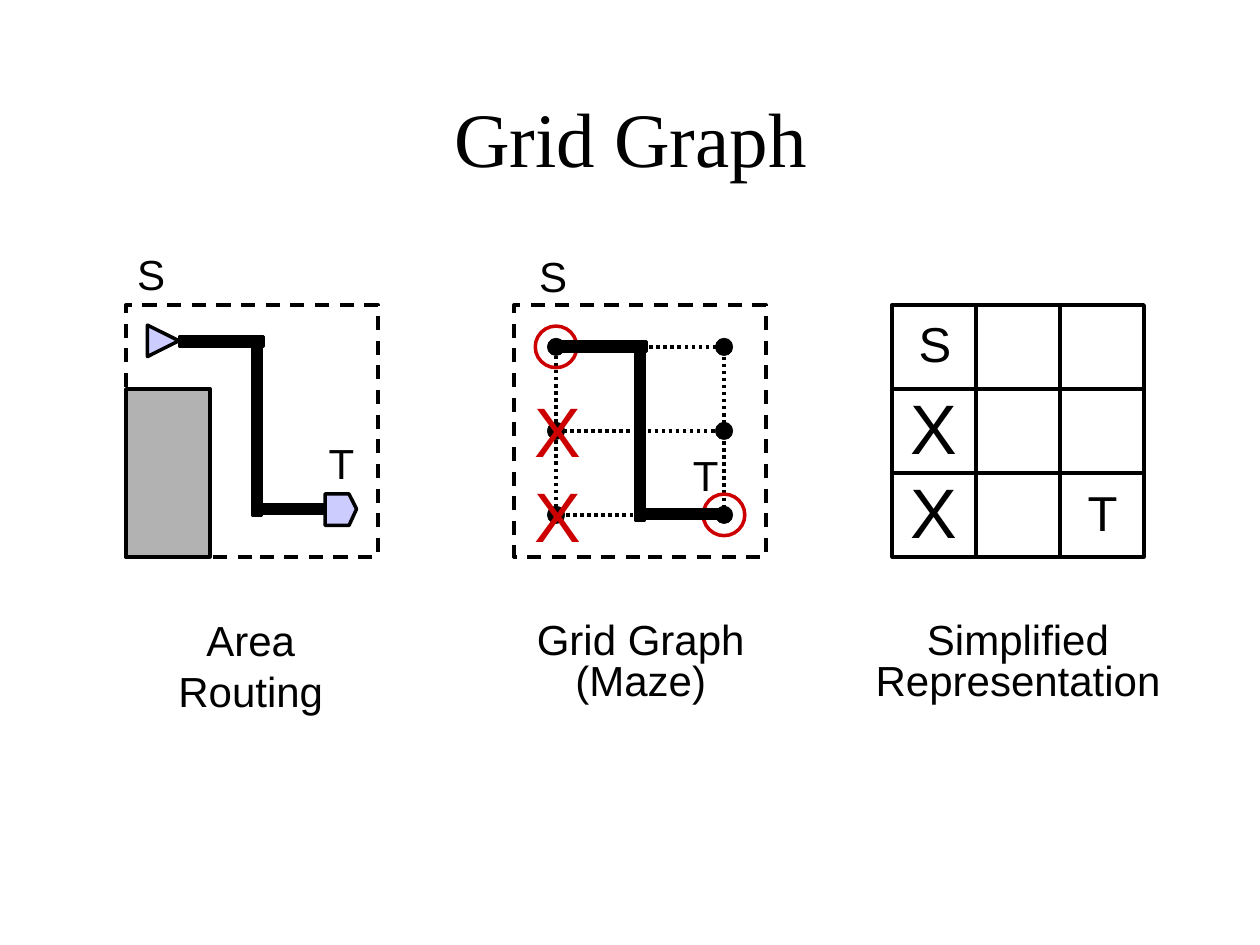
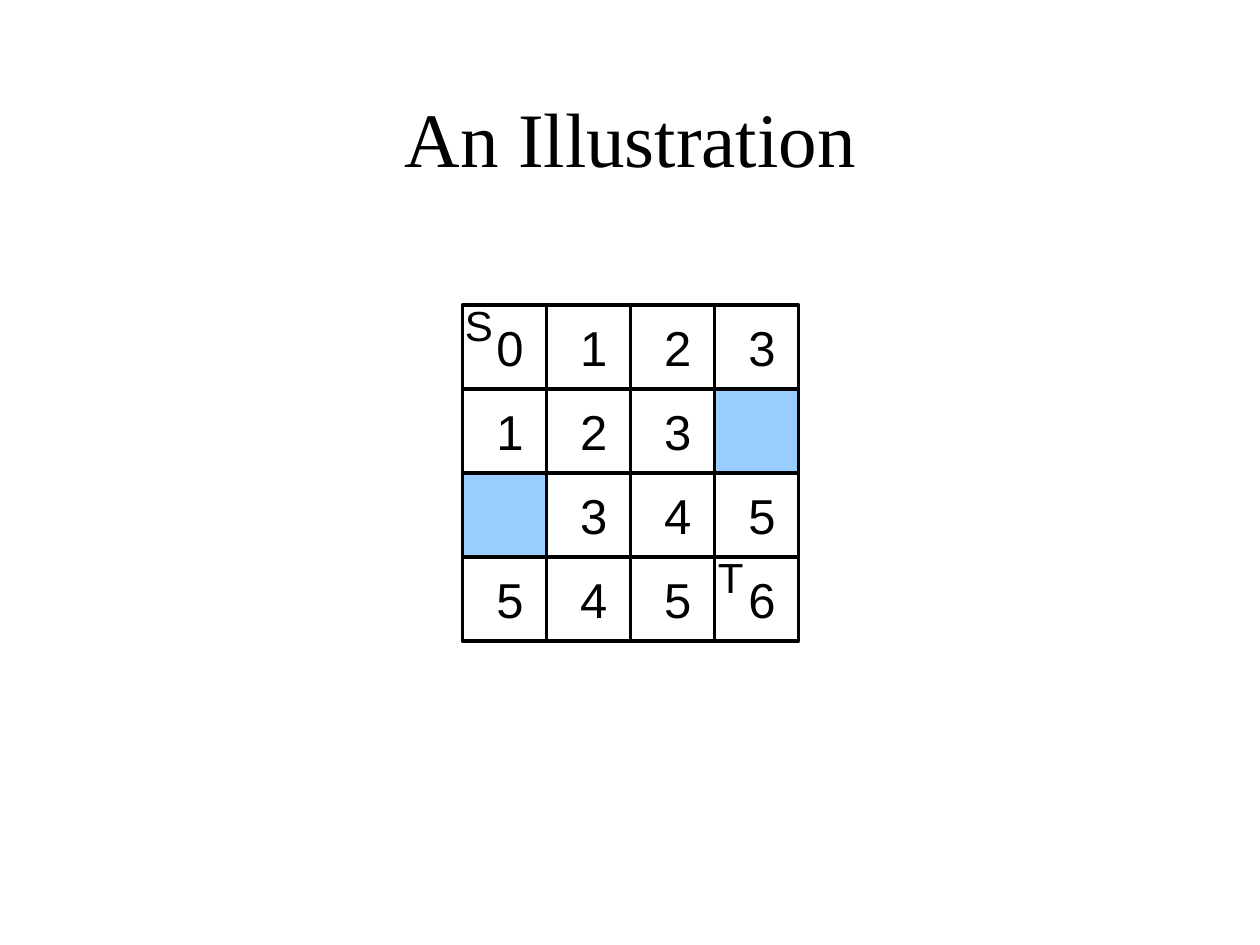
import dataclasses
import pptx
import pptx.dml.color
import pptx.enum.dml
import pptx.enum.shapes
import pptx.enum.text
import pptx.oxml.ns
import pptx.util
import lxml.etree

Inches = pptx.util.Inches
Pt = pptx.util.Pt
Shape = pptx.enum.shapes.MSO_SHAPE
Dash = pptx.enum.dml.MSO_LINE


@dataclasses.dataclass(frozen=True)
class Theme:
    ink: str = "000000"
    mark: str = "CC0000"
    pin: str = "CCCCFF"
    block: str = "B2B2B2"
    obstacle: str = "99CCFF"
    title_font: str = "Times New Roman"
    body_font: str = "Arial"
    title: int = 44
    cross: int = 40
    value: int = 28
    label: int = 24
    outline: float = 2
    wire_outline: float = 1.5


THEME = Theme()
CELL = 2 / 3
TOP = 2.42
WIRE = 0.08
DOT = 0.14
RING = 0.33
LINE_HEIGHTS = {THEME.label: 0.5, THEME.value: 0.57, THEME.cross: 0.77}

TITLES = ["Grid Graph", "An Illustration"]

AREA_LEFT, MAZE_LEFT, SIMPLE_LEFT, WAVE_LEFT = 1, 4.08, 7.08, 3.67
PANEL = 3 * CELL

CAPTIONS = [
    ("Area Routing", 0.92, 4.83, 2.14, 0.5, 1.0),
    ("Grid Graph\n(Maze)", 4.16, 4.9, 1.85, 0.74, 0.8),
    ("Simplified\nRepresentation", 6.85, 4.9, 2.46, 0.74, 0.8),
]
TERMINALS = [
    ("S", 0.99, 1.92, 0.42),
    ("T", 2.51, 3.42, 0.4),
    ("S", 4.18, 1.94, 0.42),
    ("T", 5.4, 3.52, 0.4),
]
SIMPLE_MARKS = [
    ("S", 7.19, 2.44, 0.46, THEME.value),
    ("X", 7.13, 3, 0.57, THEME.cross),
    ("X", 7.13, 3.67, 0.57, THEME.cross),
    ("T", 8.53, 3.78, 0.44, THEME.value),
]
MAZE_CROSS_TOPS = [3.03, 3.7]

AREA_WIRES = [
    (1.42, 2.67, 0.67, WIRE),
    (2, 4, 0.58, WIRE),
    (2, 2.67, WIRE, 1.42),
]
MAZE_WIRES = [
    (4.46, 2.71, 0.67, WIRE),
    (5.04, 4.04, 0.71, WIRE),
    (5.04, 2.71, WIRE, 1.42),
]
TARGET_PIN = [(2.58, 3.92), (2.77, 3.92), (2.83, 4.04), (2.77, 4.17), (2.58, 4.17)]

WAVE = [
    ["0", "1", "2", "3"],
    ["1", "2", "3", None],
    [None, "3", "4", "5"],
    ["5", "4", "5", "6"],
]
WAVE_TERMINALS = [("S", 3.59, 2.33, 0.42), ("T", 5.6, 4.33, 0.4)]


def rgb(color):
    return pptx.dml.color.RGBColor.from_string(color)


def style(shape, fill=None, line=THEME.ink, weight=THEME.outline, dash=None):
    shape.shadow.inherit = False
    if fill:
        shape.fill.solid()
        shape.fill.fore_color.rgb = rgb(fill)
    else:
        shape.fill.background()
    shape.line.color.rgb = rgb(line)
    shape.line.width = Pt(weight)
    if dash:
        shape.line.dash_style = dash
    return shape


def draw(page, left, top, width, height, kind=Shape.RECTANGLE, **look):
    shape = page.shapes.add_shape(kind, *map(Inches, (left, top, width, height)))
    return style(shape, **look)


def draw_centred(page, x, y, size, **look):
    return draw(page, x - size / 2, y - size / 2, size, size, Shape.OVAL, **look)


def write(frame, text, size=THEME.label, font=THEME.body_font, color=THEME.ink, spacing=1.0):
    frame.text = text
    for para in frame.paragraphs:
        para.alignment = pptx.enum.text.PP_ALIGN.CENTER
        para.line_spacing = spacing
        for span in para.runs:
            span.font.size = Pt(size)
            span.font.name = font
            span.font.color.rgb = rgb(color)


def add_label(page, text, left, top, width, size=THEME.label, height=None, **look):
    height = height or LINE_HEIGHTS[size]
    box = page.shapes.add_textbox(*map(Inches, (left, top, width, height)))
    box.text_frame.word_wrap = False
    write(box.text_frame, text, size=size, **look)


def add_page(deck, title):
    page = deck.slides.add_slide(deck.slide_layouts[5])
    box = page.shapes.title
    box.left, box.top, box.width, box.height = map(Inches, (0.17, 0.75, 9.67, 0.67))
    write(box.text_frame, title, size=THEME.title, font=THEME.title_font)
    box.text_frame.vertical_anchor = pptx.enum.text.MSO_ANCHOR.MIDDLE
    box.text_frame.auto_size = pptx.enum.text.MSO_AUTO_SIZE.NONE
    return page


def add_wires(page, wires):
    for wire in wires:
        draw(page, *wire, fill=THEME.ink, weight=THEME.wire_outline)


def draw_area(page):
    draw(page, AREA_LEFT, TOP, PANEL, PANEL, dash=Dash.DASH)
    draw(page, AREA_LEFT, TOP + CELL, CELL, 2 * CELL, fill=THEME.block)
    points = [(Inches(x), Inches(y)) for x, y in TARGET_PIN]
    outline = page.shapes.build_freeform(*points[0])
    outline.add_line_segments(points[1:], close=True)
    style(outline.convert_to_shape(), fill=THEME.pin)
    source = draw(page, 1.17, 2.58, 0.25, 0.25, Shape.ISOSCELES_TRIANGLE, fill=THEME.pin)
    source.rotation = 90
    add_wires(page, AREA_WIRES)


def draw_maze(page):
    left, right = (MAZE_LEFT + CELL * step for step in (0.5, 2.5))
    rows = [TOP + CELL * (row + 0.5) for row in range(3)]
    draw(page, left, rows[0], 2 * CELL, 2 * CELL, dash=Dash.ROUND_DOT)
    link = page.shapes.add_connector(
        pptx.enum.shapes.MSO_CONNECTOR.STRAIGHT,
        *map(Inches, (left, rows[1], right, rows[1])))
    link.line.color.rgb = rgb(THEME.ink)
    link.line.width = Pt(THEME.outline)
    link.line.dash_style = Dash.ROUND_DOT
    lxml.etree.SubElement(link._element.spPr, pptx.oxml.ns.qn("a:effectLst"))
    for y in rows:
        for x in (left, right):
            draw_centred(page, x, y, DOT, fill=THEME.ink, weight=0.25)
    for x, y in ((left, rows[0]), (right, rows[2])):
        draw_centred(page, x, y, RING, line=THEME.mark)
    add_wires(page, MAZE_WIRES)
    draw(page, MAZE_LEFT, TOP, PANEL, PANEL, dash=Dash.DASH)
    for top in MAZE_CROSS_TOPS:
        add_label(page, "X", 4.14, top, 0.57, size=THEME.cross, color=THEME.mark)


def draw_cell(page, left, row, column, fill=None):
    draw(page, left + column * CELL, TOP + row * CELL, CELL, CELL, fill=fill)


def draw_simple(page):
    for row in range(3):
        for column in range(3):
            draw_cell(page, SIMPLE_LEFT, row, column)
    for text, left, top, width, size in SIMPLE_MARKS:
        add_label(page, text, left, top, width, size=size)


def draw_wave(page):
    for row, values in enumerate(WAVE):
        for column, value in enumerate(values):
            draw_cell(page, WAVE_LEFT, row, column, None if value else THEME.obstacle)
            if value:
                add_label(page, value, WAVE_LEFT + column * CELL + 0.17,
                          TOP + row * CELL + 0.05, 0.41, size=THEME.value)
    for terminal in WAVE_TERMINALS:
        add_label(page, *terminal)


def main():
    deck = pptx.Presentation()
    deck.slide_width, deck.slide_height = Inches(10), Inches(7.5)
    graph_page, wave_page = (add_page(deck, title) for title in TITLES)
    draw_area(graph_page)
    draw_maze(graph_page)
    draw_simple(graph_page)
    for terminal in TERMINALS:
        add_label(graph_page, *terminal)
    for text, left, top, width, height, spacing in CAPTIONS:
        add_label(graph_page, text, left, top, width, height=height, spacing=spacing)
    draw_wave(wave_page)
    deck.save("out.pptx")


if __name__ == "__main__":
    main()
